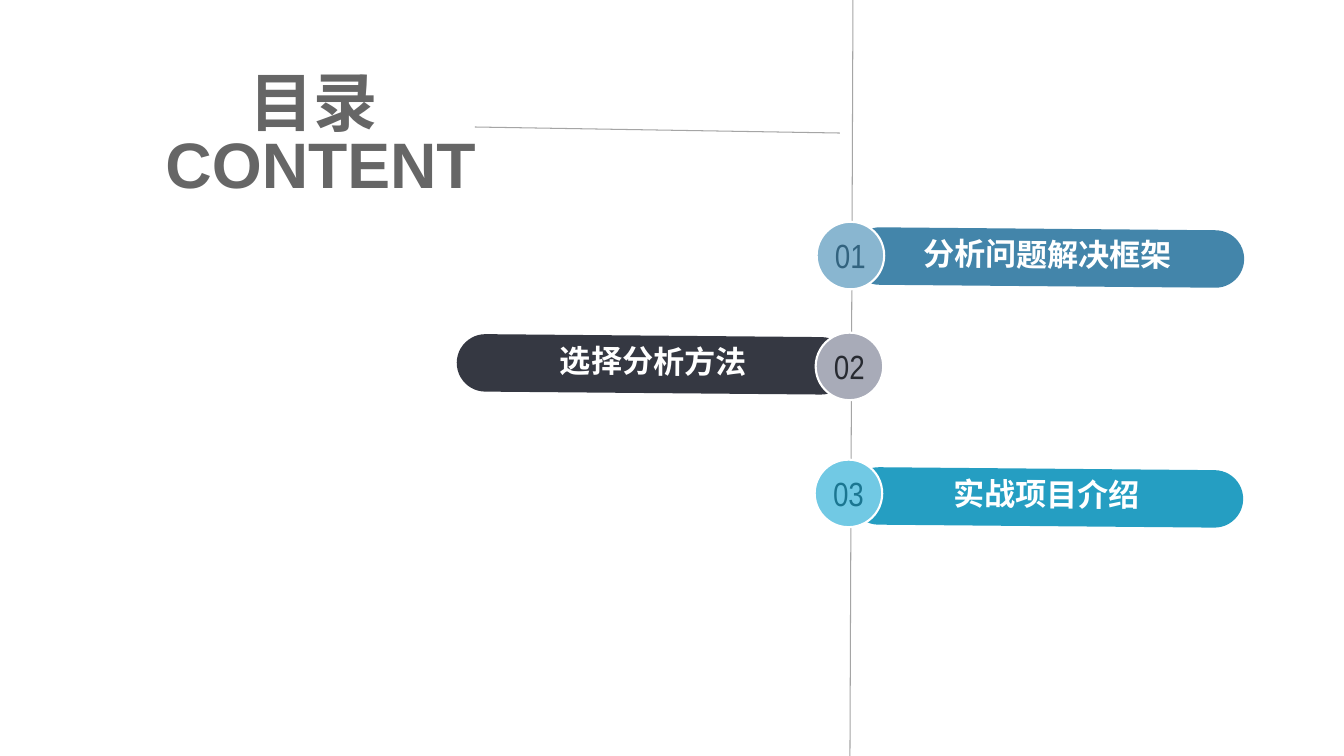
from lxml.etree import SubElement
from pptx import Presentation
from pptx.dml.color import RGBColor
from pptx.enum.shapes import MSO_CONNECTOR, MSO_SHAPE
from pptx.enum.text import MSO_ANCHOR, MSO_AUTO_SIZE, PP_ALIGN
from pptx.oxml.ns import qn
from pptx.util import Pt

EMU_PER_PX = 9144
SLIDE_SIZE = (1333, 750)
PILL_SIZE = (390, 57)
BADGE_SIZE = (67, 67)
TILT = 0.5
COLORS = {
    "white": "FFFFFF",
    "rule": "A5A5A5",
    "title": "666666",
    "blue": "4385AA",
    "blue_light": "89B6D0",
    "blue_dark": "32637F",
    "slate": "353842",
    "slate_light": "A8ABB8",
    "slate_dark": "272A31",
    "cyan": "259EC2",
    "cyan_light": "71C9E4",
    "cyan_dark": "1B7691",
}
ENTRIES = [
    ("01", "分析问题解决框架", "blue", (844, 227), (-34, -7)),
    ("02", "选择分析方法", "slate", (453, 333), (356, -3)),
    ("03", "实战项目介绍", "cyan", (843, 465), (-35, -9)),
]


def px(*lengths):
    """Turn pixel lengths into EMU."""
    return [length * EMU_PER_PX for length in lengths]


def color(name):
    """Look up a named colour."""
    return RGBColor.from_string(COLORS[name])


def write_text(shape, text, *, size, fill, font="Arial", bold=False,
               spacing=1.0, anchor=MSO_ANCHOR.MIDDLE, margins=(10, 5)):
    """Fill a shape with centred, formatted text."""
    frame = shape.text_frame
    frame.word_wrap = True
    frame.auto_size = MSO_AUTO_SIZE.NONE
    frame.vertical_anchor = anchor
    frame.margin_left = frame.margin_right = px(margins[0])[0]
    frame.margin_top = frame.margin_bottom = px(margins[1])[0]
    frame.text = text
    paragraph = frame.paragraphs[0]
    paragraph.alignment = PP_ALIGN.CENTER
    paragraph.line_spacing = spacing
    for run in paragraph.runs:
        run.font.name = font
        run.font.size = Pt(size)
        run.font.bold = bold
        run.font.color.rgb = color(fill)


def add_rule(slide, start, end):
    """Draw a thin grey line."""
    line = slide.shapes.add_connector(MSO_CONNECTOR.STRAIGHT, *px(*start, *end))
    line.line.color.rgb = color("rule")
    line.line.width = Pt(0.75)
    SubElement(line._element.spPr, qn("a:effectLst"))


def add_tilted_shape(slide, kind, position, size, fill):
    """Add a slightly turned, filled shape without an outline."""
    shape = slide.shapes.add_shape(kind, *px(*position, *size))
    shape.shadow.inherit = False
    shape.rotation = TILT
    shape.fill.solid()
    shape.fill.fore_color.rgb = color(fill)
    shape.line.fill.background()
    return shape


def add_entry(slide, number, label, hue, position, badge_offset):
    """Place one agenda pill and its numbered badge."""
    pill = add_tilted_shape(slide, MSO_SHAPE.ROUNDED_RECTANGLE, position, PILL_SIZE, hue)
    pill.adjustments[0] = 0.5
    write_text(pill, label, size=22.2, fill="white", bold=True, spacing=0.8)

    badge_position = [start + offset for start, offset in zip(position, badge_offset)]
    badge = add_tilted_shape(slide, MSO_SHAPE.OVAL, badge_position, BADGE_SIZE, f"{hue}_light")
    badge.line.color.rgb = color("white")
    badge.line.width = Pt(1.5)
    write_text(badge, number, size=24, fill=f"{hue}_dark",
               font="Arial Narrow", margins=(0, 0))


def add_heading(slide, left, top, width, height):
    """Place the title and the line leading from it to the axis."""
    title = slide.shapes.title
    title.left, title.top, title.width, title.height = px(left, top, width, height)
    write_text(title, "目录 \vCONTENT", size=45.9, fill="title", bold=True,
               spacing=0.8, anchor=MSO_ANCHOR.TOP)
    add_rule(slide, (left + 342, top + 54), (left + 704, top + 60))


def add_agenda(slide):
    """Place the vertical axis and the entries along it."""
    add_rule(slide, (846, 0), (843, SLIDE_SIZE[1]))
    for entry in ENTRIES:
        add_entry(slide, *entry)


def main():
    """Build and save the contents slide."""
    presentation = Presentation()
    presentation.slide_width, presentation.slide_height = px(*SLIDE_SIZE)
    slide = presentation.slides.add_slide(presentation.slide_layouts[5])
    add_agenda(slide)
    add_heading(slide, 129, 72, 378, 141)
    presentation.save("out.pptx")


if __name__ == "__main__":
    main()
